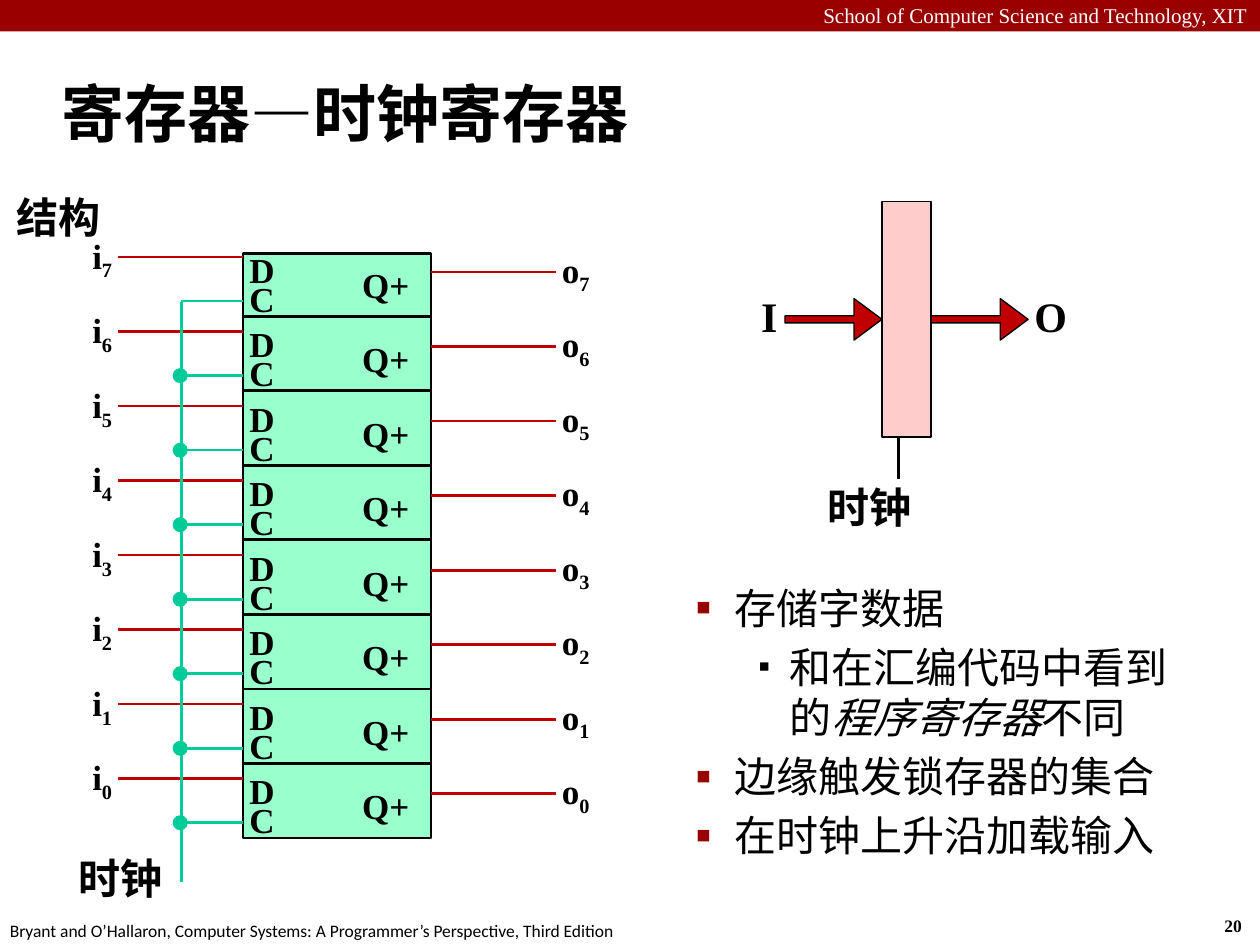
from pptx import Presentation
from pptx.dml.color import RGBColor
from pptx.enum.shapes import MSO_CONNECTOR as Link, MSO_SHAPE as Kind
from pptx.enum.text import MSO_ANCHOR as Anchor, PP_ALIGN as Align
from pptx.oxml.ns import qn
from pptx.util import Inches, Pt
from lxml.etree import SubElement

hue = RGBColor.from_string
TIMES, SANS, HAN = "Times New Roman", "Calibri", "Noto Sans CJK SC"
RED, GREEN, BLACK = "C00000", "00CC99", "000000"

deck = Presentation()
deck.slide_width, deck.slide_height = Inches(10), Inches(7.5)
slide = deck.slides.add_slide(deck.slide_layouts[6])
shapes = slide.shapes


def text(words, x, y, w, h, size=20, font=TIMES, east=None, bold=True, color=BLACK,
         align=Align.LEFT, pad=0.05, anchor=Anchor.TOP):
    box = shapes.add_textbox(Inches(x), Inches(y), Inches(w), Inches(h))
    frame = box.text_frame
    frame.word_wrap = True
    frame.vertical_anchor = anchor
    frame.margin_left = frame.margin_right = Inches(pad)
    frame.margin_top = frame.margin_bottom = Inches(0.05)
    for n, line in enumerate(words.split("\n")):
        para = frame.add_paragraph() if n else frame.paragraphs[0]
        para.alignment = align
        for part in line.split("|"):
            run = para.add_run()
            run.text = part
            run.font.size, run.font.bold, run.font.name = Pt(size), bold, font
            run.font.color.rgb = hue(color)
            SubElement(run.font._element, qn("a:ea")).set("typeface", east or font)
    return frame.paragraphs


def draw(kind, x, y, w, h, fill=None, line=None, width=1.5):
    if kind is Link.STRAIGHT:
        item = shapes.add_connector(kind, Inches(x), Inches(y), Inches(x + w), Inches(y + h))
        SubElement(item._element.spPr, qn("a:effectLst"))
    else:
        item = shapes.add_shape(kind, Inches(x), Inches(y), Inches(w), Inches(h))
        item.shadow.inherit = False
        item.fill.solid()
        item.fill.fore_color.rgb = hue(fill)
    if line:
        item.line.color.rgb = hue(line)
        item.line.width = Pt(width)
    else:
        item.line.fill.background()
    return item


draw(Kind.RECTANGLE, 0, 0, 10, 0.25, "990000")
text("School of Computer Science and Technology, XIT", 0, -0.03, 10, 0.3, size=12,
     bold=False, color="FFFFFF", align=Align.RIGHT, pad=0.1)
text("20", 9.62, 7.21, 0.37, 0.27, size=10, pad=0.1)
text("Bryant and O’Hallaron, Computer Systems: A Programmer’s Perspective, Third Edition",
     -0.02, 7.25, 5.08, 0.27, size=10, font=SANS, bold=False, pad=0.1)
text("寄存器—时钟寄存器", 0.39, 0.48, 9.61, 0.83, size=36, font=SANS, east=HAN, pad=0.1,
     anchor=Anchor.MIDDLE)

draw(Kind.RECTANGLE, 7, 1.6, 0.39, 1.87, "FFCCCC", BLACK, 0.75)
for x in (6.23, 7.39):
    arrow = draw(Kind.RIGHT_ARROW, x, 2.37, 0.77, 0.33, RED, BLACK, 0.75)
    arrow.adjustments[0] = 0.17
    arrow.adjustments[1] = 0.67
text("I", 5.45, 2.26, 0.77, 0.49, size=24, align=Align.RIGHT)
text("O", 8.16, 2.26, 0.77, 0.49, size=24)
draw(Link.STRAIGHT, 7.13, 3.47, 0, 0.33, line=BLACK)

gap = 4.14 / 7
rows = [1.92 + n * gap for n in range(8)]
for n, y in enumerate(rows):
    top, high = (y, 0.59) if n else (2.01, 0.56)
    draw(Kind.RECTANGLE, 1.93, top, 1.49, high, "99FFCC", BLACK)
for n, y in enumerate(rows):
    draw(Link.STRAIGHT, 0.94, y + 0.12, 0.99, 0, line=RED)
    draw(Link.STRAIGHT, 3.42, y + 0.24, 0.99, 0, line=RED)
    draw(Link.STRAIGHT, 1.44, y + 0.47, 0.49, 0, line=GREEN)
    if n:
        draw(Kind.OVAL, 1.37, y + 0.41, 0.12, 0.12, GREEN)
    text("D", 1.93, y, 0.37, 0.35)
    text("C", 1.93, y + 0.23, 0.37, 0.35)
    text("Q+", 2.8, y + 0.12, 0.5, 0.35, align=Align.RIGHT)
    for name, x, top, side in (("i", 0.2, y - 0.11, Align.RIGHT), ("o", 4.41, y, Align.LEFT)):
        label = text(f"{name}|{7 - n}", x, top, 0.74, 0.53, align=side)
        label[0].runs[1].font._element.set("baseline", "-25000")
draw(Link.STRAIGHT, 1.44, 2.4, 0, 4.6, line=GREEN)

for word, x, y in (("时钟", 6.52, 3.77), ("时钟", 0.57, 6.72), ("结构", 0.08, 1.47)):
    text(word, x, y, 1.2, 0.49, size=24, font=HAN)

notes = text("存储字数据\n和在汇编代码中看到的|程序寄存器|不同\n边缘触发锁存器的集合\n在时钟上升沿加载输入",
             4.92, 4.57, 4.76, 2.85, size=24, font=SANS, bold=False, pad=0.1)
notes[1].runs[1].font.italic = True
for n, para in enumerate(notes):
    deep = n == 1
    left, hang, tint, scale = (1.25, 0.25, BLACK, 80) if deep else (0.81, 0.31, "990000", 110)
    para.level = 2 if deep else 1
    para.space_before = Pt(5)
    props = para._p.get_or_add_pPr()
    props.set("marL", str(Inches(left)))
    props.set("indent", str(-Inches(hang)))
    SubElement(SubElement(props, qn("a:buClr")), qn("a:srgbClr")).set("val", tint)
    SubElement(props, qn("a:buSzPct")).set("val", str(scale * 1000))
    SubElement(props, qn("a:buFont")).set("typeface", TIMES)
    SubElement(props, qn("a:buChar")).set("char", "▪")

deck.save("out.pptx")
